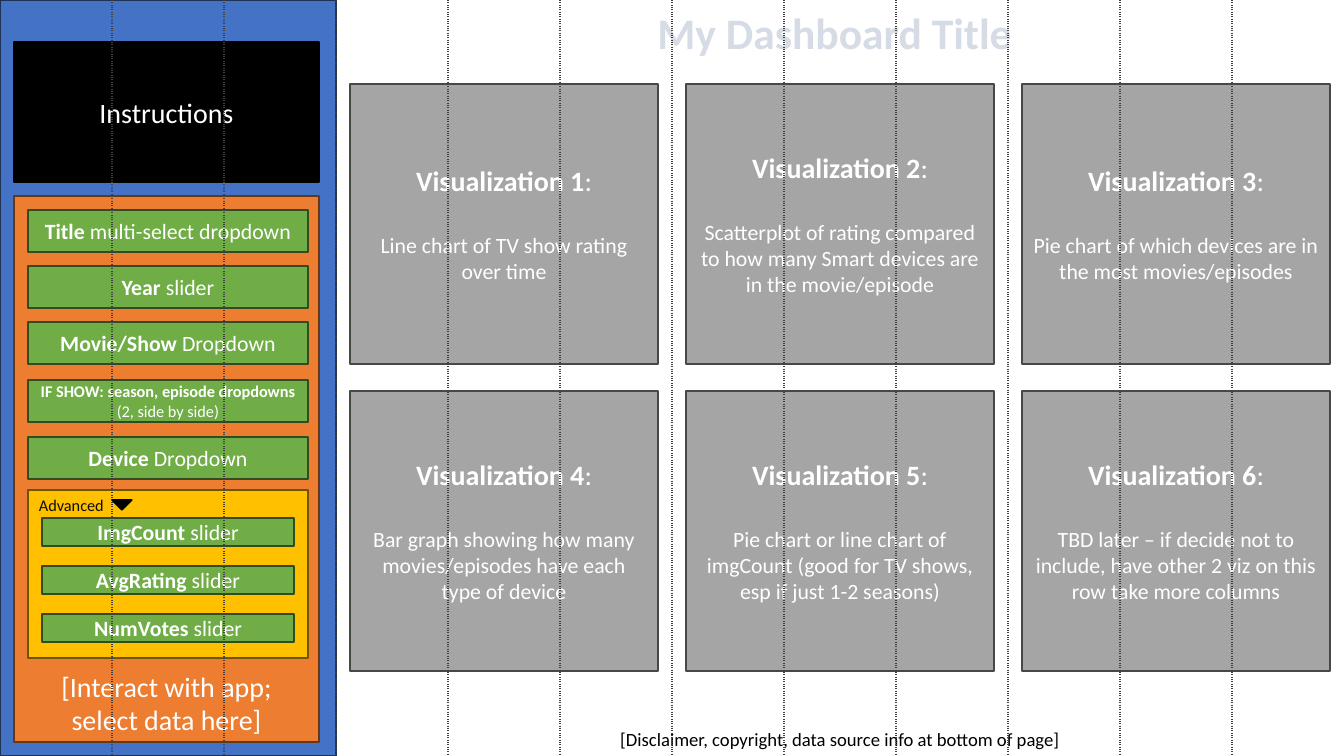
from lxml.etree import SubElement
from pptx import Presentation
from pptx.dml.color import RGBColor
from pptx.enum.dml import MSO_PATTERN
from pptx.enum.shapes import MSO_SHAPE as Shape
from pptx.enum.text import MSO_ANCHOR as Anchor, MSO_AUTO_SIZE as AutoSize, PP_ALIGN as Align
from pptx.oxml import parse_xml
from pptx.oxml.ns import nsdecls, qn
from pptx.util import Emu, Pt

PX_PER_INCH = 112
WIDTH, HEIGHT, COLUMN = 1344, 756, 112
FONT = "Calibri"
BLUE, ORANGE, GREEN = ("4472C4", "1E3256"), ("ED7D31", "683715"), ("70AD47", "314C1F")
GRAY, YELLOW, BLACK = ("A5A5A5", "484848"), ("FFC000", "705400"), ("000000", "000000")

FILTERS = [
    (210, "Title", " multi-select dropdown", 14),
    (266, "Year ", "slider", 14),
    (322, "Movie/Show ", "Dropdown", 14),
    (380, "IF SHOW: season, episode dropdowns ", "(2, side by side)", 10.5),
    (437, "Device ", "Dropdown", 14),
]
ADVANCED_SLIDERS = ["ImgCount ", "AvgRating ", "NumVotes "]
VISUALIZATIONS = [
    "Line chart of TV show rating over time",
    "Scatterplot of rating compared to how many Smart devices are in the movie/episode",
    "Pie chart of which devices are in the most movies/episodes",
    "Bar graph showing how many movies/episodes have each type of device",
    "Pie chart or line chart of imgCount (good for TV shows, esp if just 1-2 seasons)",
    "TBD later – if decide not to include, have other 2 viz on this row take more columns",
]


def px(value):
    return Emu(round(value * 914400 / PX_PER_INCH))


def rgb(value):
    return RGBColor.from_string(value)


def add_block(page, place, colors, kind=Shape.RECTANGLE):
    box = page.shapes.add_shape(kind, *map(px, place))
    fill, line = colors
    box.shadow.inherit = False
    box.fill.solid()
    box.fill.fore_color.rgb = rgb(fill)
    box.line.color.rgb = rgb(line)
    box.line.width = Pt(1)
    return box


def write(box, paras, size, color="FFFFFF", anchor=Anchor.MIDDLE, align=Align.CENTER):
    """Fill a box with paragraphs, each a list of (text, bold) spans."""
    frame = box.text_frame
    frame.word_wrap = True
    frame.vertical_anchor = anchor
    for index, spans in enumerate(paras):
        para = frame.add_paragraph() if index else frame.paragraphs[0]
        para.alignment = align
        for text, bold in spans:
            span = para.add_run()
            span.text = text
            for name, value in {"name": FONT, "size": Pt(size), "bold": bold}.items():
                setattr(span.font, name, value)
            span.font.color.rgb = rgb(color)
    return frame


def add_title(page):
    box = page.shapes.add_textbox(*map(px, (644, 0, 381, 64)))
    frame = write(box, [[("My Dashboard Title", True)]], 28, anchor=Anchor.TOP)
    frame.word_wrap = False
    frame.auto_size = AutoSize.SHAPE_TO_FIT_TEXT
    font = frame.paragraphs[0].runs[0].font
    font.fill.patterned()
    font.fill.pattern = MSO_PATTERN.DARK_UPWARD_DIAGONAL
    font.fill.fore_color.rgb = rgb("44546A")
    font.fill.back_color.rgb = rgb("D6DCE5")
    outline = parse_xml(
        f'<a:ln {nsdecls("a")} w="12700"><a:solidFill>'
        '<a:srgbClr val="333F50"/></a:solidFill></a:ln>'
    )
    frame.paragraphs[0].runs[0]._r.get_or_add_rPr().insert(0, outline)


def add_visualizations(page):
    for index, description in enumerate(VISUALIZATIONS):
        row, column = divmod(index, 3)
        place = (350 + 3 * COLUMN * column, 84 + 307 * row, 308, 280)
        heading = [(f"Visualization {index + 1}", True), (":", False)]
        frame = write(add_block(page, place, GRAY), [heading, [(description, False)]], 18)
        body = frame.paragraphs[1]
        body.space_before = Pt(22)
        body.runs[0].font.size = Pt(14)


def add_disclaimer(page):
    box = page.shapes.add_textbox(*map(px, (350, 722, 980, 34)))
    text = "[Disclaimer, copyright, data source info at bottom of page]"
    frame = write(box, [[(text, False)]], 12, "000000", Anchor.TOP)
    frame.auto_size = AutoSize.SHAPE_TO_FIT_TEXT


def add_control(page, place, name, control, size=14):
    write(add_block(page, place, GREEN), [[(name, True), (control, False)]], size)


def add_controls(page):
    write(add_block(page, (14, 42, 305, 140), BLACK), [[("Instructions", False)]], 18)
    panel = add_block(page, (14, 196, 305, 546), ORANGE)
    prompt = ["[Interact with app;", "select data here]"]
    write(panel, [[(line, False)] for line in prompt], 18, anchor=Anchor.BOTTOM)
    for top, name, control, size in FILTERS:
        add_control(page, (28, top, 280, 42), name, control, size)
    advanced = add_block(page, (28, 490, 280, 168), YELLOW)
    write(advanced, [[("Advanced", False)]], 10.5, "0D0D0D", Anchor.TOP, Align.LEFT)
    for index, name in enumerate(ADVANCED_SLIDERS):
        add_control(page, (42, 518 + 48 * index, 252, 28), name, "slider")


def set_border(cell, side, dotted):
    line = SubElement(cell._tc.get_or_add_tcPr(), qn(f"a:ln{side}"), w="9525")
    if dotted:
        fill = SubElement(line, qn("a:solidFill"))
        SubElement(fill, qn("a:srgbClr"), val="404040")
        SubElement(line, qn("a:prstDash"), val="sysDot")
    else:
        SubElement(line, qn("a:noFill"))


def add_column_guides(page):
    count = WIDTH // COLUMN
    table = page.shapes.add_table(1, count, 0, 0, px(WIDTH), px(HEIGHT)).table
    table.first_row = table.horz_banding = False
    for index in range(count):
        table.columns[index].width = px(COLUMN)
        cell = table.cell(0, index)
        inner = {"L": index > 0, "R": index < count - 1, "T": False, "B": False}
        for side, dotted in inner.items():
            set_border(cell, side, dotted)
        cell.fill.background()


def main():
    deck = Presentation()
    deck.slide_width, deck.slide_height = px(WIDTH), px(HEIGHT)
    page = deck.slides.add_slide(deck.slide_layouts[6])
    add_block(page, (0, 0, 336, HEIGHT), BLUE)
    add_title(page)
    add_visualizations(page)
    add_disclaimer(page)
    add_controls(page)
    add_column_guides(page)
    arrow = add_block(page, (115, 493, 14, 14), BLACK, Shape.RIGHT_TRIANGLE)
    arrow.rotation = 315
    deck.save("out.pptx")


if __name__ == "__main__":
    main()
